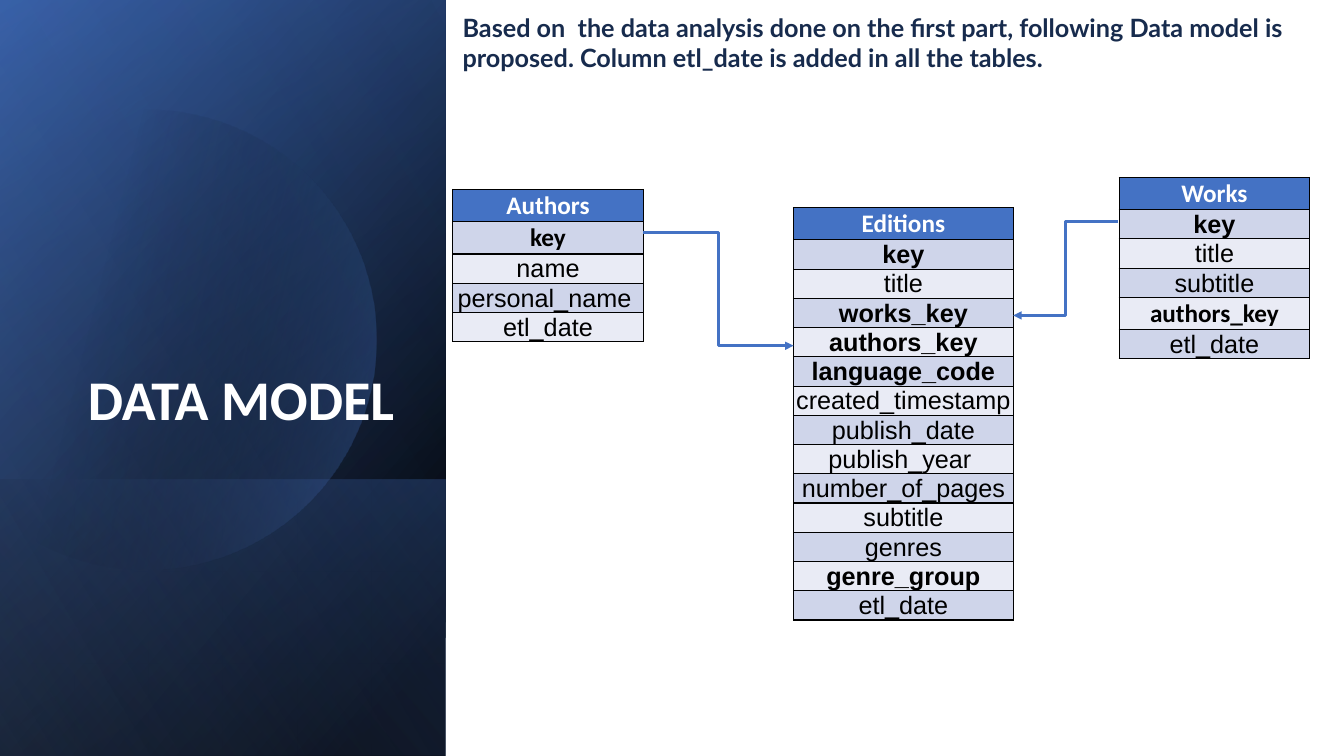
from math import acos, cos, sin
from lxml.etree import SubElement as Sub
from pptx import Presentation
from pptx.dml.color import RGBColor as Rgb
from pptx.enum.shapes import MSO_CONNECTOR as Link, MSO_SHAPE as Kind
from pptx.enum.text import MSO_ANCHOR as Anchor, PP_ALIGN as Align, MSO_AUTO_SIZE as Auto
from pptx.oxml import parse_xml
from pptx.oxml.ns import nsdecls, qn
from pptx.util import Inches, Pt

INK = {"white": "FFFFFF", "black": "000000", "blue": "4472C4", "deep": "2F5597",
       "pale": "8FAADC", "navy": "172B4D", "odd": "CFD5EA", "even": "E9EBF5"}

HEAD = {"size": Pt(18), "name": "Calibri", "bold": True, "ink": "white"}
PLAIN = {"size": Pt(18), "name": "Arial", "bold": False, "ink": "black"}
BOLD = {**PLAIN, "bold": True}
SANS = {**BOLD, "name": "Calibri"}
TITLE = {**HEAD, "size": Pt(40)}
NOTE = {"size": Pt(18), "name": "Lato", "bold": True, "ink": "navy"}

AUTHORS = [("Authors", HEAD), ("key", SANS), ("name", PLAIN),
           ("personal_name ", PLAIN), ("etl_date", PLAIN)]
EDITIONS = [("Editions", HEAD), ("key", BOLD), ("title", PLAIN), ("works_key", BOLD),
            ("authors_key", BOLD), ("language_code", BOLD), ("created_timestamp", PLAIN),
            ("publish_date", PLAIN), ("publish_year ", PLAIN), ("number_of_pages", PLAIN),
            ("subtitle", PLAIN), ("genres", PLAIN), ("genre_group", BOLD), ("etl_date", PLAIN)]
WORKS = [("Works", HEAD), ("key", BOLD), ("title", PLAIN), ("subtitle", PLAIN),
         ("authors_key", SANS), ("etl_date", PLAIN)]


def color(name):
    return Rgb.from_string(INK[name])


def put(item, values):
    for key, value in values.items():
        setattr(item, key, value)


def write(frame, text, style, align):
    para = frame.paragraphs[0]
    para.alignment = align
    run = para.add_run()
    run.text = text
    put(run.font, {key: value for key, value in style.items() if key != "ink"})
    run.font.color.rgb = color(style["ink"])
    return para


def blend(shape, stops, angle):
    shape.shadow.inherit = False
    shape.line.fill.background()
    marks = "".join(
        f'<a:gs pos="{pos * 1000}"><a:srgbClr val="{INK[ink]}">'
        f'<a:alpha val="{alpha * 1000}"/></a:srgbClr></a:gs>' for pos, ink, alpha in stops)
    shape._element.spPr.insert(2, parse_xml(
        f'<a:gradFill {nsdecls("a")} rotWithShape="1"><a:gsLst>{marks}</a:gsLst>'
        f'<a:lin ang="{angle * 60000}" scaled="0"/></a:gradFill>'))


def veil(slide, box, stops, angle):
    left, top, wide, high = box
    shape = slide.shapes.add_shape(
        Kind.RECTANGLE, Inches(left + (wide - high) / 2), Inches(top + (high - wide) / 2),
        Inches(high), Inches(wide))
    shape.rotation = 90
    shape._element.spPr.xfrm.set("flipH", "1")
    blend(shape, stops, angle)


def disc(slide, left, mid_x, mid_y, radius):
    reach = acos((left - mid_x) / radius)
    turns = [reach * (step / 60 - 1) for step in range(121)]
    spots = [(Inches(mid_x + radius * cos(turn)), Inches(mid_y + radius * sin(turn)))
             for turn in turns]
    form = slide.shapes.build_freeform(*spots[0])
    form.add_line_segments(spots[1:], close=True)
    blend(form.convert_to_shape(), [(29, "black", 0), (100, "blue", 43)], 14)


def panel(slide, box):
    left, top, wide, high = box
    foot = 2.74
    veil(slide, box, [(8, "black", 100), (100, "deep", 100)], 50)
    veil(slide, box, [(0, "black", 0), (99, "blue", 46)], 30)
    veil(slide, (left, top + high - foot, wide, foot),
         [(2, "blue", 29), (100, "black", 30)], 130)
    disc(slide, left, left + 1.45, top + 3.37, 2.28)
    veil(slide, box, [(0, "black", 0), (99, "pale", 11)], 120)
    title = slide.shapes.title
    put(title, {"left": Inches(left + 0.51), "top": Inches(top + 0.64),
                "width": Inches(3.5), "height": Inches(3.7)})
    put(title.text_frame, {"word_wrap": True, "auto_size": Auto.NONE,
                           "vertical_anchor": Anchor.BOTTOM})
    para = write(title.text_frame, "DATA MODEL", TITLE, Align.RIGHT)
    put(para, {"line_spacing": 0.9, "space_after": Pt(6)})
    slide.shapes._spTree.append(title._element)


def edge(cell):
    props = cell._tc.get_or_add_tcPr()
    for side in ("lnL", "lnR", "lnT", "lnB"):
        line = Sub(props, qn(f"a:{side}"), w=str(Pt(1)))
        fill = Sub(line, qn("a:solidFill"))
        Sub(fill, qn("a:srgbClr"), val=INK["black"])


def entity(slide, left, top, wide, rows, anchor=Anchor.MIDDLE):
    highs = [Inches(0.32 if style["name"] == "Calibri" else 0.29) for _, style in rows]
    table = slide.shapes.add_table(len(rows), 1, Inches(left), Inches(top),
                                   Inches(wide), sum(highs)).table
    table.horz_banding = False
    for index, (text, style) in enumerate(rows):
        table.rows[index].height = highs[index]
        cell = table.cell(index, 0)
        edge(cell)
        put(cell, {"margin_left": Inches(0.01), "margin_top": Inches(0.01),
                   "margin_right": Inches(0.01), "margin_bottom": 0,
                   "vertical_anchor": anchor if index else Anchor.MIDDLE})
        cell.fill.solid()
        cell.fill.fore_color.rgb = color(
            "blue" if index == 0 else "odd" if index % 2 else "even")
        write(cell.text_frame, text, style, Align.CENTER)


def arrow(slide, *ends):
    link = slide.shapes.add_connector(Link.ELBOW, *map(Inches, ends))
    link.line.width = Pt(2)
    link.line.color.rgb = color("blue")
    Sub(link.line._get_or_add_ln(), qn("a:tailEnd"), type="triangle")
    Sub(link._element.spPr, qn("a:effectLst"))


def model(slide, box):
    left, top, wide, high = box
    entity(slide, left, top + 1.81, 1.89, AUTHORS)
    entity(slide, left + 3.38, top + 1.99, 2.18, EDITIONS)
    entity(slide, left + 6.61, top + 1.69, 1.89, WORKS, Anchor.BOTTOM)
    arrow(slide, left + 1.89, top + 2.24, left + 3.38, top + 3.36)
    arrow(slide, left + 6.6, top + 2.13, left + 5.56, top + 3.06)
    note = slide.shapes.add_textbox(Inches(left), Inches(top), Inches(wide), Inches(0.71))
    note.text_frame.word_wrap = True
    write(note.text_frame, "Based on  the data analysis done on the first part, following "
          "Data model is proposed. Column etl_date is added in all the tables.",
          NOTE, Align.LEFT)


def main():
    deck = Presentation()
    put(deck, {"slide_width": Inches(13.33), "slide_height": Inches(7.5)})
    slide = deck.slides.add_slide(deck.slide_layouts[5])
    back = slide.background.fill
    back.solid()
    back.fore_color.rgb = color("white")
    panel(slide, (0, 0, 4.42, 7.5))
    model(slide, (4.49, 0.07, 8.66, 7.36))
    deck.save("out.pptx")


if __name__ == "__main__":
    main()
